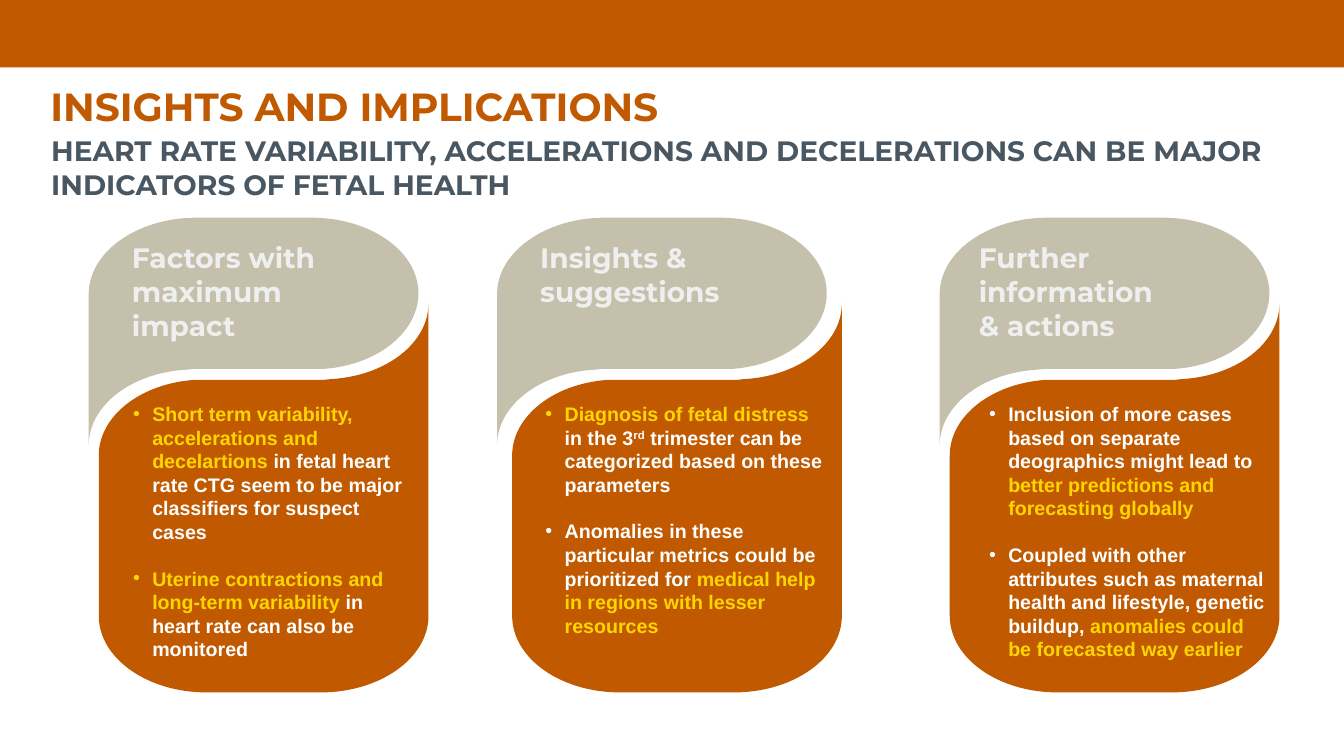
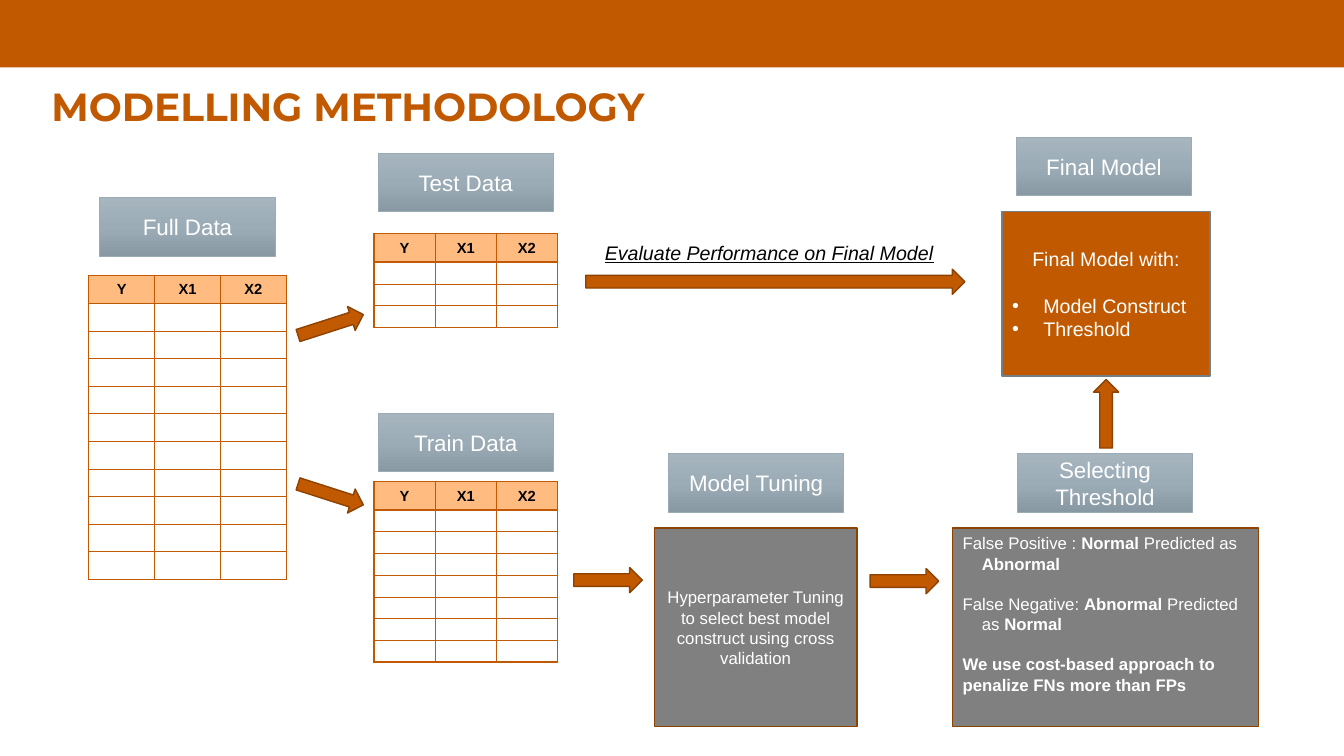
from copy import deepcopy

from lxml import etree
from pptx import Presentation
from pptx import util as u
from pptx.dml.color import RGBColor
from pptx.enum import shapes, text
from pptx.oxml import ns

ORANGE, DARK_ORANGE, PEACH = "C05900", "8E4200", "FFBB80"
SLATE, STONE, GREY, YELLOW = "485761", "C5C0AC", "808080", "FFD600"
WHITE, PALE, BLACK = "FFFFFF", "F0EFEF", "030405"
LEFT, CENTER = text.PP_ALIGN.LEFT, text.PP_ALIGN.CENTER
RECT, ARROW = shapes.MSO_SHAPE.RECTANGLE, shapes.MSO_SHAPE.RIGHT_ARROW
rgb = RGBColor.from_string
Inches = u.Inches


def paint(sp, fill, line=None, width=1):
    """Give a shape a flat fill and an outline, without a shadow."""
    sp.shadow.inherit = False
    sp.fill.solid()
    sp.fill.fore_color.rgb = rgb(fill)
    if line:
        sp.line.color.rgb = rgb(line)
        sp.line.width = u.Pt(width)
    else:
        sp.line.fill.background()


def write(tf, paragraphs, size, color, bold=False, font="Arial", align=LEFT,
          indent=0, bullet=False, gap=0):
    """Add paragraphs; each is a string or a list of (text, color, bold) runs."""
    tf.word_wrap = True
    for i, runs in enumerate(paragraphs):
        p = tf.add_paragraph() if tf.text else tf.paragraphs[0]
        if indent:
            pPr = p._p.get_or_add_pPr()
            pPr.set("marL", str(Inches(indent)))
            pPr.set("indent", str(-Inches(indent)))
            if bullet:
                etree.SubElement(pPr, ns.qn("a:buFont")).set("typeface", "Arial")
                etree.SubElement(pPr, ns.qn("a:buChar")).set("char", "•")
        p.alignment = align
        if i and gap:
            p.space_before = u.Pt(gap)
        if isinstance(runs, str):
            runs = [(runs, color, bold)]
        for words, run_color, run_bold in runs:
            r = p.add_run()
            r.text = words
            r.font.name, r.font.size, r.font.bold = font, u.Pt(size), run_bold
            r.font.color.rgb = rgb(run_color)


prs = Presentation()
prs.slide_width, prs.slide_height = Inches(13.33), Inches(7.5)

# Shared layout: title place and top band
layout = prs.slide_layouts[5]
layout_title, *unused = layout.placeholders
for ph in unused:
    ph._element.getparent().remove(ph._element)
layout_title.left, layout_title.top = Inches(0.41), Inches(0.82)
layout_title.width, layout_title.height = Inches(9.18), Inches(0.65)
layout_title.text_frame.vertical_anchor = text.MSO_ANCHOR.TOP
layout_title.text_frame.auto_size = text.MSO_AUTO_SIZE.NONE

slides = []
for title in ("INSIGHTS AND IMPLICATIONS", "MODELLING METHODOLOGY"):
    s = prs.slides.add_slide(layout)
    write(s.shapes.title.text_frame, [title], 28, ORANGE, True, "Montserrat")
    s.shapes.title.text_frame.paragraphs[0].line_spacing = 0.9
    slides.append(s)
insights, method = slides

# The first slide's title box is taller
title = insights.shapes.title
title.left, title.top, title.width, title.height = map(Inches, (0.4, 0.82, 8.15, 1.62))

band = insights.shapes.add_shape(RECT, 0, 0, prs.slide_width, Inches(0.67))
paint(band, ORANGE)
layout.shapes._spTree.insert(2, band._element)

# Slide 1: three columns
subtitle = insights.shapes.add_textbox(Inches(0.41), Inches(1.28), Inches(12.67), Inches(0.77))
write(subtitle.text_frame,
      ["HEART RATE VARIABILITY, ACCELERATIONS AND DECELERATIONS CAN BE MAJOR "
       "INDICATORS OF FETAL HEALTH"], 20, SLATE, True, "Montserrat")

# Outlines in inches: two numbers are a corner, six a Bézier curve
CAP = [(2.21, 0), (1.07, 0), (0.48, 0, 0, 0.34, 0, 0.76), (0, 1.51), (0, 2.26),
       (0, 1.87, 0.41, 1.55, 0.94, 1.51), (0.98, 1.51, 1.02, 1.5, 1.07, 1.5),
       (2.34, 1.5), (2.86, 1.46, 3.27, 1.14, 3.27, 0.75),
       (3.27, 0.33, 2.79, 0, 2.21, 0)]
BODY = [(3.27, 0), (3.27, 0.39, 2.86, 0.71, 2.33, 0.75),
        (2.29, 0.75, 2.25, 0.76, 2.21, 0.76), (0.94, 0.76),
        (0.41, 0.8, 0, 1.12, 0, 1.51), (0, 3.1),
        (0, 3.52, 0.48, 3.86, 1.07, 3.86), (2.2, 3.86),
        (2.79, 3.86, 3.27, 3.52, 3.27, 3.1), (3.27, 0.75), (3.27, 0)]

# cap left, body left, heading left, text left, heading, bullets
columns = [
    (0.88, 0.98, 1.21, 1.32, ["Factors with", "maximum impact"], [
        [("Short term variability, accelerations and decelartions ", YELLOW, True),
         ("in fetal heart rate CTG seem to be major classifiers for suspect cases", WHITE, True)],
        [("Uterine contractions and long-term variability ", YELLOW, True),
         ("in heart rate can also be monitored", WHITE, True)]]),
    (4.93, 5.08, 5.26, 5.41, ["Insights & suggestions"], [
        [("Diagnosis of fetal distress ", YELLOW, True), ("in the 3", WHITE, True),
         ("rd", WHITE, True),
         (" trimester can be categorized based on these parameters", WHITE, True)],
        [("Anomalies in these particular metrics could be prioritized for ", WHITE, True),
         ("medical help in regions with lesser resources", YELLOW, True)]]),
    (9.32, 9.42, 9.61, 9.81, ["Further information & actions"], [
        [("Inclusion of more cases based on separate deographics might lead to ", WHITE, True),
         ("better predictions and forecasting globally", YELLOW, True)],
        [("Coupled with other attributes such as maternal health and lifestyle, "
          "genetic buildup, ", WHITE, True),
         ("anomalies could be forecasted way earlier", YELLOW, True)]]),
]
for cap_x, body_x, heading_x, text_x, heading, bullets in columns:
    for outline, x, y, color in ((CAP, cap_x, 2.16, STONE), (BODY, body_x, 3.01, ORANGE)):
        ends = [(Inches(part[-2]), Inches(part[-1])) for part in outline]
        builder = insights.shapes.build_freeform(*ends[0])
        builder.add_line_segments(ends[1:], close=True)
        sp = builder.convert_to_shape(Inches(x), Inches(y))
        paint(sp, color)
        # Turn the straight segments of the curved parts into Bézier segments
        segments = list(sp._element.iter(ns.qn("a:lnTo")))
        for part, segment in zip(outline[1:], segments):
            if len(part) == 6:
                curve = etree.Element(ns.qn("a:cubicBezTo"))
                for px, py in zip(part[::2], part[1::2]):
                    etree.SubElement(curve, ns.qn("a:pt"),
                                     x=str(Inches(px)), y=str(Inches(py)))
                segment.getparent().replace(segment, curve)

    box = insights.shapes.add_textbox(Inches(heading_x), Inches(2.34), Inches(2.17), Inches(1.11))
    write(box.text_frame, heading, 20, PALE, True, "Montserrat")

    box = insights.shapes.add_textbox(Inches(text_x), Inches(3.94), Inches(2.78), Inches(2.69))
    tf = box.text_frame
    tf.margin_left = tf.margin_right = 0
    write(tf, bullets, 14, WHITE, True, indent=0.19, bullet=True, gap=16.5)
    for p in tf.paragraphs:
        for r in p.runs:
            if r.text == "rd":
                r.font._element.set("baseline", "30000")

# Slide 2: data tables (left, top, width, height, body rows)
HEADER_HEIGHT = 0.28
for x, y, width, height, body_rows in (
        (0.88, 2.73, 1.96, 3.02, 10), (3.71, 2.32, 1.82, 0.93, 3), (3.71, 4.78, 1.82, 1.79, 7)):
    frame = method.shapes.add_table(
        body_rows + 1, 3, Inches(x), Inches(y), Inches(width), Inches(height))
    table = frame.table
    table.first_row = table.horz_banding = False
    for col in table.columns:
        col.width = Inches(width / 3)
    for i, row in enumerate(table.rows):
        row.height = Inches((height - HEADER_HEIGHT) / body_rows if i else HEADER_HEIGHT)
        top = 1 if i < 2 else 0.5
        bottom = 1 if i in (0, body_rows) else 0.5
        for name, cell in zip(("Y", "X1", "X2"), row.cells):
            cell.margin_top = cell.margin_bottom = Inches(0.03)
            cell.vertical_anchor = text.MSO_ANCHOR.MIDDLE
            tcPr = cell._tc.get_or_add_tcPr()
            for side, weight in (("L", 1), ("R", 1), ("T", top), ("B", bottom)):
                ln = etree.SubElement(tcPr, ns.qn("a:ln" + side), w=str(u.Pt(weight)))
                solid = etree.SubElement(ln, ns.qn("a:solidFill"))
                etree.SubElement(solid, ns.qn("a:srgbClr"), val=ORANGE)
            if i == 0:
                cell.fill.solid()
                cell.fill.fore_color.rgb = rgb(PEACH)
                write(cell.text_frame, [name], 10.5, BLACK, True, align=CENTER)
            else:
                cell.fill.background()
                cell.text_frame.paragraphs[0]._p.get_or_add_endParaRPr().set("sz", "800")

# Stage labels
for x, y, label in ((0.99, 1.96, "Full Data"), (3.75, 1.52, "Test Data"),
                    (3.75, 4.1, "Train Data"), (6.63, 4.5, "Model Tuning"),
                    (10.09, 4.5, "Selecting Threshold"), (10.08, 1.36, "Final Model")):
    sp = method.shapes.add_shape(RECT, Inches(x), Inches(y), Inches(1.74), Inches(0.58))
    paint(sp, SLATE, "9CACB6", 0.5)
    sp.fill.gradient()
    sp.fill.gradient_angle = 270
    first, last = sp.fill.gradient_stops
    first.color.rgb, first.position = rgb("A7B5BE"), 0
    last.color.rgb, last.position = rgb("8899A4"), 1
    first._gs.addnext(deepcopy(first._gs))
    middle = sp.fill.gradient_stops[1]
    middle.color.rgb, middle.position = rgb("9BACB7"), 0.5
    sp.text_frame.vertical_anchor = text.MSO_ANCHOR.MIDDLE
    write(sp.text_frame, [label], 16, WHITE, align=CENTER)

# Arrows
for x, y, width, angle in ((2.94, 3.1, 0.68, 342.2), (2.94, 4.78, 0.68, 17.8),
                           (5.69, 5.63, 0.68, 0), (8.63, 5.64, 0.68, 0),
                           (10.63, 3.98, 0.68, 270), (5.81, 2.67, 3.76, 0)):
    sp = method.shapes.add_shape(ARROW, Inches(x), Inches(y), Inches(width), Inches(0.25))
    sp.rotation = angle
    paint(sp, ORANGE, DARK_ORANGE)

# Detail boxes
details = []
for x, y, width, height, fill, line, anchor in (
        (6.49, 5.24, 2.01, 1.97, GREY, DARK_ORANGE, text.MSO_ANCHOR.MIDDLE),
        (9.45, 5.24, 3.03, 1.97, GREY, DARK_ORANGE, text.MSO_ANCHOR.TOP),
        (9.94, 2.1, 2.06, 1.63, ORANGE, "737F87", text.MSO_ANCHOR.MIDDLE)):
    sp = method.shapes.add_shape(RECT, Inches(x), Inches(y), Inches(width), Inches(height))
    paint(sp, fill, line)
    sp.text_frame.vertical_anchor = anchor
    details.append(sp.text_frame)
tuning, threshold, final = details

write(tuning, ["Hyperparameter Tuning to select best model construct using cross validation"],
      12, WHITE, align=CENTER)
write(threshold, [
    [("False Positive : ", WHITE, False), ("Normal ", WHITE, True),
     ("Predicted as ", WHITE, False), ("Abnormal", WHITE, True)],
    [("False Negative: ", WHITE, False), ("Abnormal ", WHITE, True),
     ("Predicted as ", WHITE, False), ("Normal", WHITE, True)]],
      12, WHITE, indent=0.19, gap=14.4)
write(threshold, ["We use cost-based approach to penalize FNs more than FPs"], 12, WHITE, True)
threshold.paragraphs[2].space_before = u.Pt(14.4)
write(final, ["Final Model with:"], 14, WHITE, align=CENTER)
write(final, ["Model Construct", "Threshold"], 14, WHITE, indent=0.31, bullet=True)
final.paragraphs[1].space_before = u.Pt(16.5)

caption = method.shapes.add_textbox(Inches(5.9), Inches(2.34), Inches(3.62), Inches(0.34))
write(caption.text_frame, ["Evaluate Performance on Final Model"], 14, BLACK)
caption_font = caption.text_frame.paragraphs[0].runs[0].font
caption_font.italic = caption_font.underline = True

prs.save("out.pptx")
